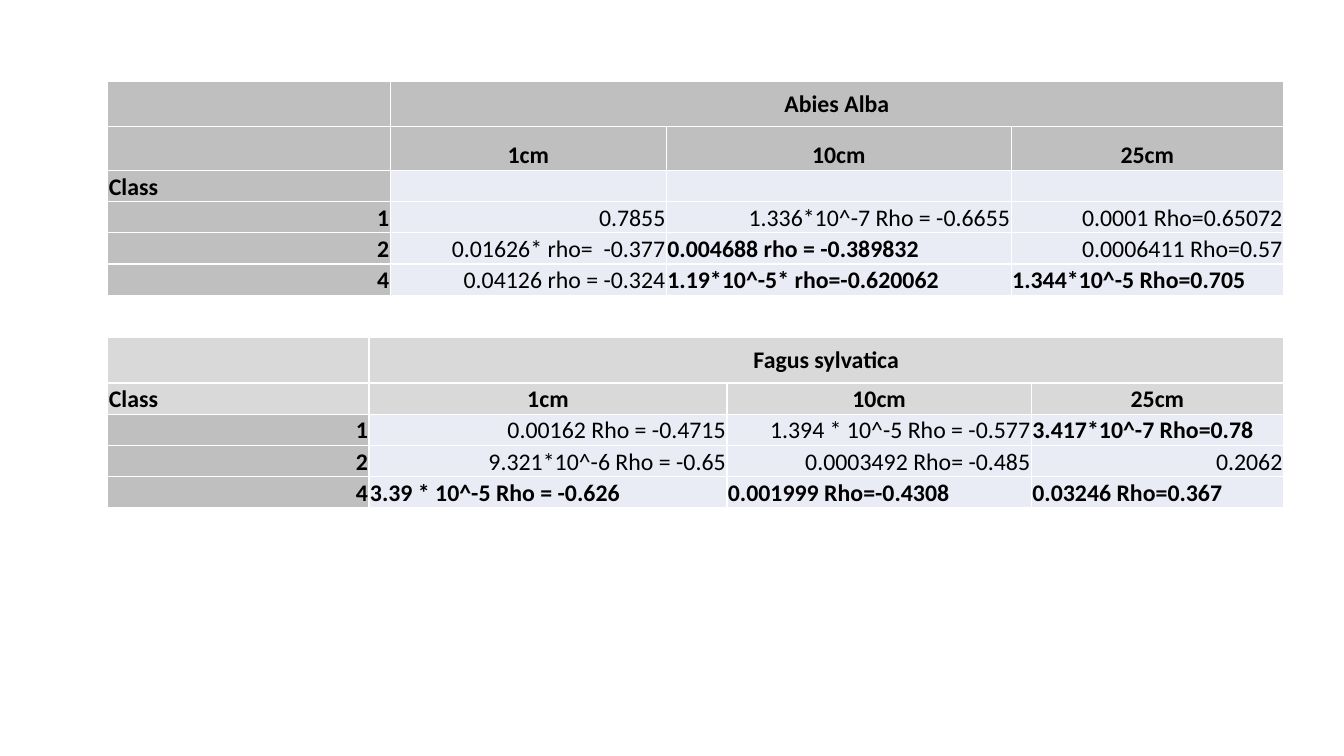
from lxml import etree
from pptx import Presentation
from pptx.dml.color import RGBColor
from pptx.enum.text import MSO_ANCHOR, PP_ALIGN
from pptx.oxml.ns import qn
from pptx.util import Inches, Pt

FONT, TEXT_SIZE = "Calibri", 17
BLACK, WHITE = "000000", "FFFFFF"
CLASS_FILL, VALUE_FILL = "BFBFBF", "E9EBF5"
TABLE_LEFT = 1.07
HEADER_ROWS = 2

# "bold" holds the (row, column) places of the emphasised values.
TABLES = [
    {
        "top": 0.81,
        "columns": [2.8, 2.74, 3.42, 2.7],
        "row_heights": [0.44, 0.43, 0.31, 0.31, 0.31, 0.31],
        "header_fill": "BFBFBF",
        "rows": [
            ["", "Abies Alba", "", ""],
            ["", "1cm", "10cm", "25cm"],
            ["Class", "", "", ""],
            ["1", "0.7855", "1.336*10^-7 Rho = -0.6655", "0.0001 Rho=0.65072"],
            ["2", "0.01626* rho=  -0.377", "0.004688 rho = -0.389832", "0.0006411 Rho=0.57"],
            ["4", "0.04126 rho = -0.324", "1.19*10^-5* rho=-0.620062", "1.344*10^-5 Rho=0.705"],
        ],
        "bold": {(4, 2), (5, 2), (5, 3)},
    },
    {
        "top": 3.35,
        "columns": [2.59, 3.55, 3.02, 2.5],
        "row_heights": [0.44, 0.31, 0.31, 0.31, 0.31],
        "header_fill": "D9D9D9",
        "rows": [
            ["", "Fagus sylvatica", "", ""],
            ["Class", "1cm", "10cm", "25cm"],
            ["1", "0.00162 Rho = -0.4715", "1.394 * 10^-5 Rho = -0.577", "3.417*10^-7 Rho=0.78"],
            ["2", "9.321*10^-6 Rho = -0.65", "0.0003492 Rho= -0.485", "0.2062"],
            ["4", "3.39 * 10^-5 Rho = -0.626", "0.001999 Rho=-0.4308", "0.03246 Rho=0.367"],
        ],
        "bold": {(2, 3), (4, 1), (4, 2), (4, 3)},
    },
]


def color(hex_value):
    return RGBColor.from_string(hex_value)


def add_borders(cell):
    """Draw a thin white line on all four sides; call before setting the fill."""
    properties = cell._tc.get_or_add_tcPr()
    for side in ("a:lnL", "a:lnR", "a:lnT", "a:lnB"):
        line = etree.SubElement(properties, qn(side), w=str(Pt(1)))
        fill = etree.SubElement(line, qn("a:solidFill"))
        etree.SubElement(fill, qn("a:srgbClr"), val=WHITE)


def set_margins(cell, left, top, right, bottom):
    cell.margin_left, cell.margin_top = Inches(left), Inches(top)
    cell.margin_right, cell.margin_bottom = Inches(right), Inches(bottom)


def write_text(cell, text, bold, alignment):
    paragraph = cell.text_frame.paragraphs[0]
    paragraph.alignment = alignment
    run = paragraph.add_run()
    run.text = text
    run.font.name, run.font.size, run.font.bold = FONT, Pt(TEXT_SIZE), bold
    run.font.color.rgb = color(BLACK)


def format_cell(cell, row, column, content):
    text = content["rows"][row][column]
    is_header, is_class = row < HEADER_ROWS, column == 0
    add_borders(cell)
    cell.fill.solid()
    cell.fill.fore_color.rgb = color(
        content["header_fill"] if is_header else CLASS_FILL if is_class else VALUE_FILL)
    cell.vertical_anchor = MSO_ANCHOR.BOTTOM
    if not text:
        set_margins(cell, 0, 0, 0, 0)
        return
    if row == 0:
        set_margins(cell, 0.15, 0.08, 0.15, 0.08)
    else:
        set_margins(cell, 0.01, 0.01, 0.01, 0)

    emphasised = (row, column) in content["bold"]
    if text == "Class" or emphasised:
        alignment = PP_ALIGN.LEFT
    else:
        alignment = PP_ALIGN.CENTER if is_header else PP_ALIGN.RIGHT
    write_text(cell, text, is_header or is_class or emphasised, alignment)


def add_species_table(slide, content):
    widths, heights = content["columns"], content["row_heights"]
    shape = slide.shapes.add_table(
        len(heights), len(widths), Inches(TABLE_LEFT), Inches(content["top"]),
        Inches(sum(widths)), Inches(sum(heights)))
    table = shape.table
    table.first_row = table.horz_banding = False
    for column, width in zip(table.columns, widths):
        column.width = Inches(width)
    for row, height in zip(table.rows, heights):
        row.height = Inches(height)
    for row in range(len(heights)):
        for column in range(len(widths)):
            format_cell(table.cell(row, column), row, column, content)
    table.cell(0, 1).merge(table.cell(0, len(widths) - 1))


def main():
    presentation = Presentation()
    presentation.slide_width, presentation.slide_height = Inches(13.33), Inches(7.5)
    slide = presentation.slides.add_slide(presentation.slide_layouts[6])
    for content in TABLES:
        add_species_table(slide, content)
    presentation.save("out.pptx")


if __name__ == "__main__":
    main()
